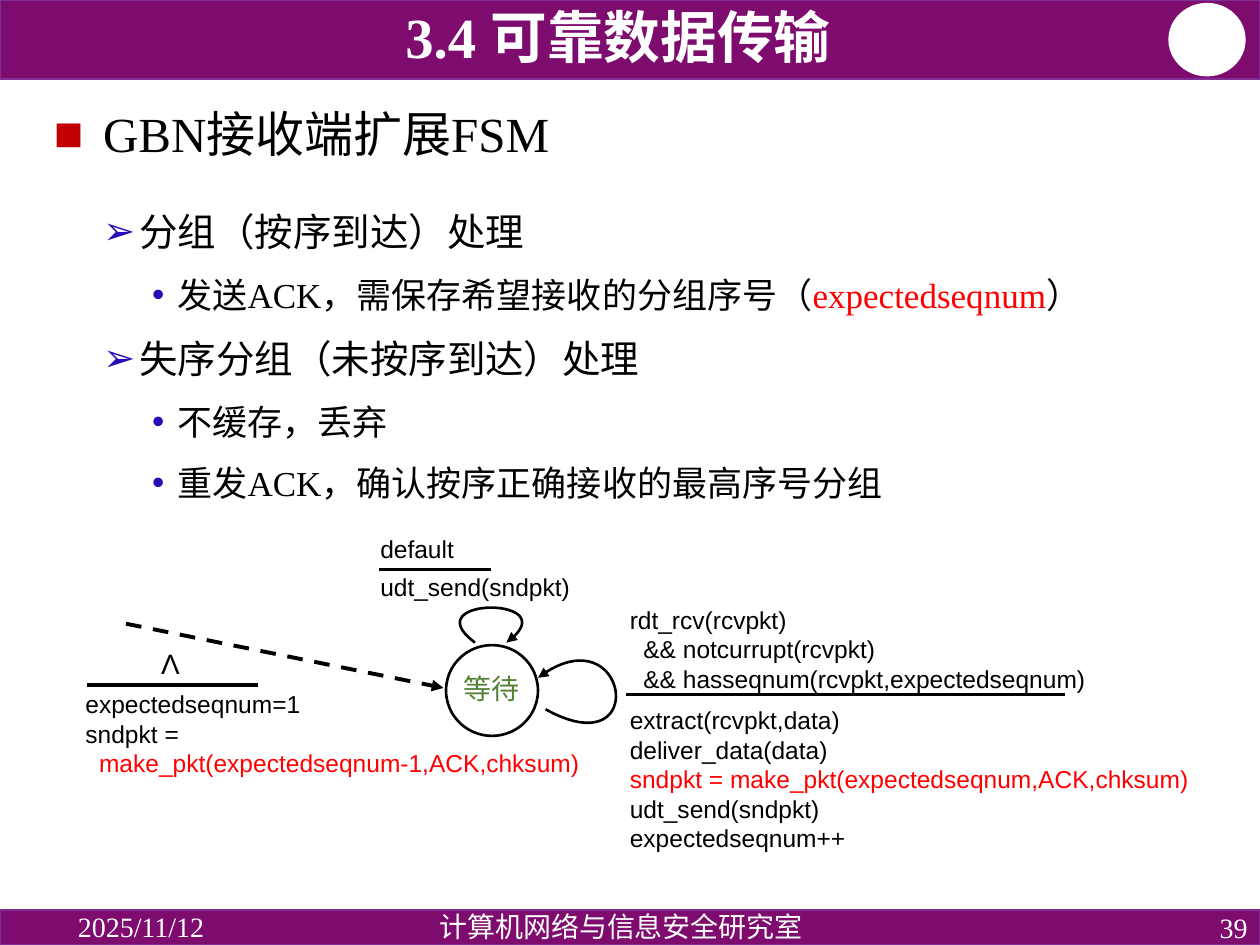
from lxml.etree import SubElement
from pptx import Presentation
from pptx.dml.color import RGBColor
from pptx.enum.dml import MSO_LINE
from pptx.enum.shapes import MSO_CONNECTOR, MSO_SHAPE
from pptx.enum.text import MSO_ANCHOR, PP_ALIGN
from pptx.oxml.ns import qn
from pptx.util import Inches, Pt

PURPLE = RGBColor(0x7E, 0x0C, 0x6E)
VIOLET = RGBColor(0x7F, 0x2F, 0x95)
WHITE = RGBColor(0xFF, 0xFF, 0xFF)
BLACK = RGBColor(0x00, 0x00, 0x00)
RED = RGBColor(0xFF, 0x00, 0x00)
DARK_RED = RGBColor(0xC0, 0x00, 0x00)
BLUE = RGBColor(0x2A, 0x09, 0xB7)
GREEN = RGBColor(0x54, 0x82, 0x35)
SERIF = "Times New Roman"
SANS = "Arial"

prs = Presentation()
prs.slide_width = Inches(10)
prs.slide_height = Inches(7.5)
slide = prs.slides.add_slide(prs.slide_layouts[6])


def write_paragraph(frame, text, *, size=14, font=SANS, color=BLACK, bold=False,
                    align=PP_ALIGN.LEFT, spacing=None, before=0, bullet=None):
    if frame.paragraphs[0].runs:
        paragraph = frame.add_paragraph()
        paragraph.space_before = Pt(before)
    else:
        paragraph = frame.paragraphs[0]
    paragraph.alignment = align
    if spacing:
        paragraph.line_spacing = spacing
    if bullet:
        mark, mark_color, margin, hanging = bullet
        props = paragraph._p.get_or_add_pPr()
        props.set("marL", str(Inches(margin)))
        props.set("indent", str(-Inches(hanging)))
        mark_fill = SubElement(props, qn("a:buClr"))
        SubElement(mark_fill, qn("a:srgbClr"), val=str(mark_color))
        SubElement(props, qn("a:buFont"), typeface=SANS)
        SubElement(props, qn("a:buChar"), char=mark)
    pieces = [(text, color)] if isinstance(text, str) else text
    for words, words_color in pieces:
        run = paragraph.add_run()
        run.text = words
        run.font.size = Pt(size)
        run.font.name = font
        run.font.bold = bold
        run.font.color.rgb = words_color


def add_frame(left, top, width, height, anchor=MSO_ANCHOR.TOP):
    box = slide.shapes.add_textbox(Inches(left), Inches(top), Inches(width), Inches(height))
    box.text_frame.word_wrap = True
    box.text_frame.vertical_anchor = anchor
    return box.text_frame


for kind, left, top, width, height, fill, edge, weight in [
    (MSO_SHAPE.RECTANGLE, 0, 0, 10, 0.63, PURPLE, VIOLET, 1),
    (MSO_SHAPE.OVAL, 9.28, 0.03, 0.6, 0.57, WHITE, WHITE, 1),
    (MSO_SHAPE.RECTANGLE, 0, 7.22, 10, 0.28, PURPLE, VIOLET, 1),
    (MSO_SHAPE.OVAL, 3.54, 5.12, 0.73, 0.72, WHITE, BLACK, 1.5),
]:
    shape = slide.shapes.add_shape(kind, Inches(left), Inches(top), Inches(width), Inches(height))
    shape.shadow.inherit = False
    shape.fill.solid()
    shape.fill.fore_color.rgb = fill
    shape.line.color.rgb = edge
    shape.line.width = Pt(weight)

date = add_frame(0.52, 7.22, 2.25, 0.26, MSO_ANCHOR.MIDDLE)
write_paragraph(date, "2025/11/12", size=16, font=SERIF, color=WHITE)
page = add_frame(7.75, 7.22, 2.25, 0.28, MSO_ANCHOR.MIDDLE)
write_paragraph(page, "39", size=16, font=SERIF, color=WHITE, align=PP_ALIGN.RIGHT)
lab = add_frame(2.69, 7.2, 4.48, 0.28)
write_paragraph(lab, "计算机网络与信息安全研究室", size=16, font=SERIF, color=WHITE,
                align=PP_ALIGN.CENTER, spacing=0.9)
chapter = add_frame(0.77, 0.04, 8.27, 0.56, MSO_ANCHOR.BOTTOM)
write_paragraph(chapter, "3.4 可靠数据传输", size=32.4, font=SERIF, color=WHITE, bold=True,
                align=PP_ALIGN.CENTER, spacing=0.8)
topic = add_frame(0.33, 0.64, 9.29, 0.89, MSO_ANCHOR.MIDDLE)
write_paragraph(topic, "GBN接收端扩展FSM", size=28, font=SERIF, spacing=0.9,
                bullet=("■", DARK_RED, 0.39, 0.39))

case = {"size": 22, "bullet": ("➢", BLUE, 0.68, 0.29)}
action = {"size": 20, "bullet": ("•", BLUE, 0.98, 0.2)}
rules = add_frame(0.33, 1.53, 9.24, 2.55)
for text, level in [
    ("分组（按序到达）处理", case),
    ([("发送ACK，需保存希望接收的分组序号（", BLACK), ("expectedseqnum", RED), ("）", BLACK)], action),
    ("失序分组（未按序到达）处理", case),
    ("不缓存，丢弃", action),
    ("重发ACK，确认按序正确接收的最高序号分组", action),
]:
    write_paragraph(rules, text, font=SERIF, spacing=1.2, before=6, **level)

write_paragraph(add_frame(3.58, 5.28, 0.68, 0.36), "等待", size=16, color=GREEN)
write_paragraph(add_frame(1.18, 5.08, 0.35, 0.37), "Λ", size=16)

for left, top, width, height, code in [
    (2.92, 4.19, 0.9, 0.27, ["default"]),
    (2.92, 4.49, 1.8, 0.34, ["udt_send(sndpkt)"]),
    (4.9, 4.75, 3.9, 0.62, [
        "rdt_rcv(rcvpkt)", "  && notcurrupt(rcvpkt)", "  && hasseqnum(rcvpkt,expectedseqnum)"]),
    (4.9, 5.55, 4.72, 1.23, [
        "extract(rcvpkt,data)", "deliver_data(data)",
        "sndpkt = make_pkt(expectedseqnum,ACK,chksum)", "udt_send(sndpkt)", "expectedseqnum++"]),
    (0.58, 5.42, 4.13, 0.81, [
        "expectedseqnum=1", "sndpkt =", "  make_pkt(expectedseqnum-1,ACK,chksum)"]),
]:
    frame = add_frame(left, top, width, height)
    for statement in code:
        write_paragraph(frame, statement, color=RED if "make_pkt" in statement else BLACK)

arrows = []
for x1, y1, x2, y2, weight in [
    (1, 4.95, 3.52, 5.46, 2.25),
    (3.01, 4.52, 3.9, 4.52, 2.25),
    (4.97, 5.51, 8.45, 5.51, 1.5),
    (0.69, 5.44, 2.05, 5.44, 2.25),
]:
    line = slide.shapes.add_connector(
        MSO_CONNECTOR.STRAIGHT, Inches(x1), Inches(y1), Inches(x2), Inches(y2))
    line.line.color.rgb = BLACK
    line.line.width = Pt(weight)
    if y1 != y2:
        line.line.dash_style = MSO_LINE.DASH
        arrows.append(line)
    SubElement(line._element.spPr, qn("a:effectLst"))

STEPS = 40
for controls in [
    [(4.33, 5.63), (5.18, 6.1), (4.98, 4.84), (4.27, 5.38)],
    [(3.77, 5.1), (3.27, 4.73), (4.53, 4.73), (4.02, 5.1)],
]:
    points = []
    for step in range(STEPS + 1):
        t = step / STEPS
        weights = [(1 - t) ** 3, 3 * t * (1 - t) ** 2, 3 * t ** 2 * (1 - t), t ** 3]
        points.append([Inches(sum(w * c[axis] for w, c in zip(weights, controls)))
                       for axis in (0, 1)])
    builder = slide.shapes.build_freeform(*points[0])
    builder.add_line_segments(points[1:], close=False)
    loop = builder.convert_to_shape()
    loop.shadow.inherit = False
    loop.fill.background()
    loop.line.color.rgb = BLACK
    loop.line.width = Pt(1.5)
    arrows.append(loop)

for arrow in arrows:
    SubElement(arrow.line._get_or_add_ln(), qn("a:tailEnd"), type="triangle")

prs.save("out.pptx")
